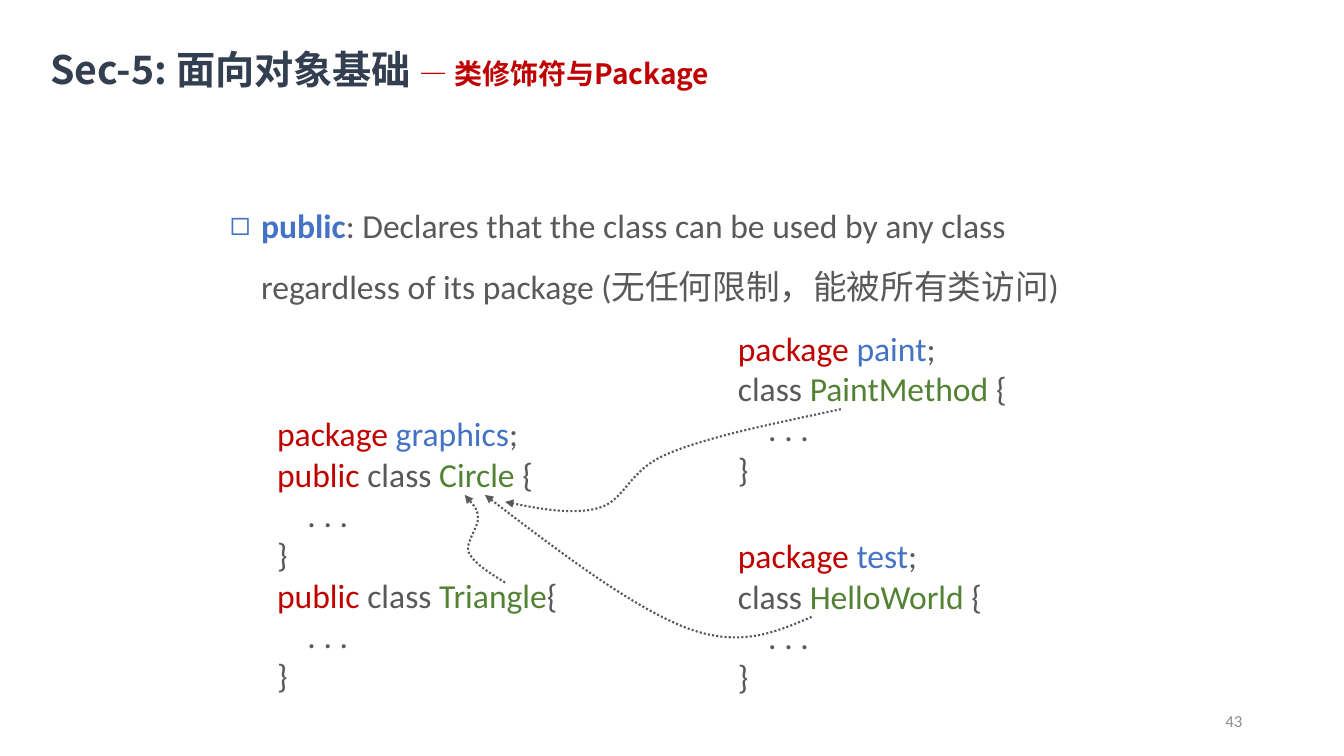
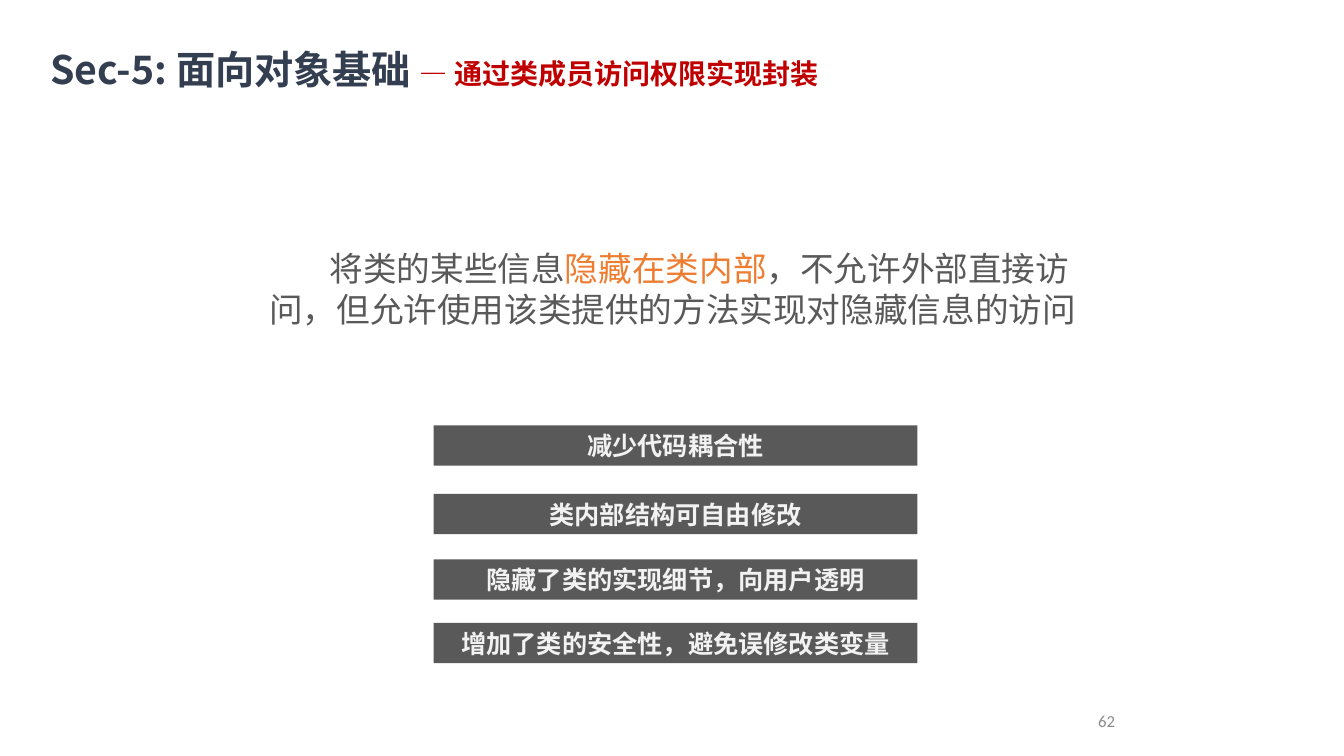
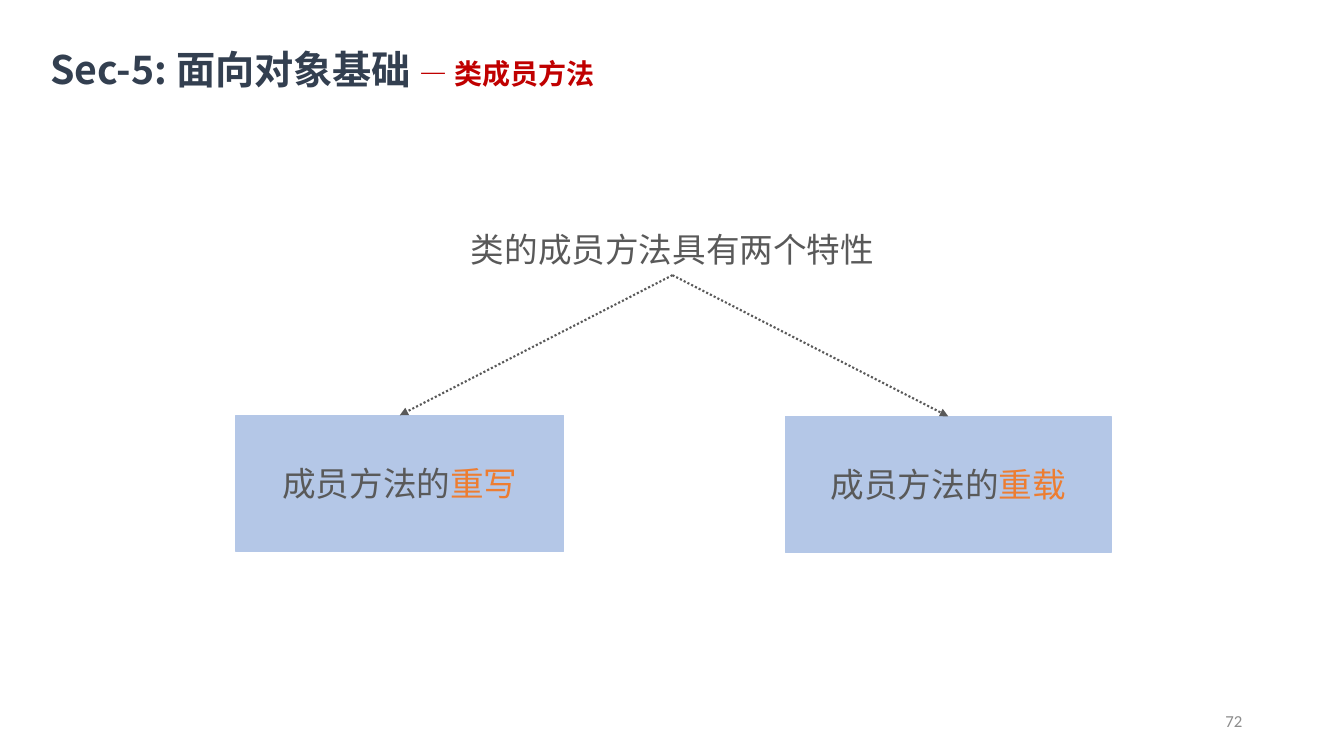
from lxml import etree
from pptx import Presentation, util as u
from pptx.dml.color import RGBColor
from pptx.enum import dml, shapes, text
from pptx.oxml.ns import qn

PX = 9144  # EMU per px, 100 px to the inch
LATIN, HAN = "Calibri", "Noto Sans CJK SC"
COLORS = {
    "navy": "333F50", "red": "C00000", "blue": "4472C4", "green": "548235",
    "gray": "595959", "orange": "ED7D31", "number": "8C8C8C",
    "sky": "B4C7E7", "pale": "F2F2F2",
}

SECTION = "Sec-5: 面向对象基础 "
NUMBER_RIGHT = (942, 695, 300, 40)
NUMBER_INNER = (883, 695, 233, 40)

PUBLIC_RULE = [
    ("public", "blue"),
    (": Declares that the class can be used by any class regardless of its "
     "package (无任何限制，能被所有类访问)", "gray"),
]
ELLIPSIS, CLOSE = [("    . . .", "gray")], [("}", "gray")]
LISTINGS = [  # box, package, [(modifier, class name, opening)]
    ((265, 405, 386, 293), "graphics", [("public ", "Circle", " {"), ("public ", "Triangle", "{")]),
    ((722, 320, 386, 172), "paint", [("", "PaintMethod", " {")]),
    ((722, 526, 386, 172), "test", [("", "HelloWorld", " {")]),
]
USES_OF_CIRCLE = [  # start, then three points for each Bézier segment
    [(501, 578), (485, 568), (470, 559), (465, 548),
     (461, 538), (475, 523), (474, 514), (474, 504), (463, 494), (461, 491)],
    [(805, 612), (770, 627), (734, 643), (681, 623), (627, 602), (554, 547), (481, 491)],
    [(834, 406), (769, 420), (703, 433), (663, 450),
     (623, 466), (621, 496), (594, 504), (567, 512), (506, 499), (501, 498)],
]

ENCAPSULATION = [
    ("将类的某些信息", "gray"), ("隐藏在类内部", "orange"),
    ("，不允许外部直接访问，但允许使用该类提供的方法实现对隐藏信息的访问", "gray"),
]
BENEFITS = [  # top, text
    (422, "减少代码耦合性"), (490, "类内部结构可自由修改"),
    (555, "隐藏了类的实现细节，向用户透明"), (618, "增加了类的安全性，避免误修改类变量"),
]

FEATURES_HEADING = "类的成员方法具有两个特性"
FEATURES = [((234, 412, 325, 135), "重写"), ((779, 413, 323, 135), "重载")]


def rgb(name):
    return RGBColor.from_string(COLORS[name])


def emu(box):
    return [n * PX for n in box]


def write(paragraph, runs, size, font=LATIN, bold=False, align=None):
    """Fill a paragraph with (text, colour) runs; Han text gets a fixed, tighter pitch."""
    paragraph.alignment = align
    if font == HAN:
        paragraph.line_spacing = u.Pt(round(size * 1.2))
    for words, color in runs:
        run = paragraph.add_run()
        run.text = words
        run.font.size, run.font.bold, run.font.name = u.Pt(size), bold, font
        run.font.color.rgb = rgb(color)
        etree.SubElement(run.font._element, qn("a:ea"), typeface=HAN)


def add_text(slide, box, anchor=text.MSO_ANCHOR.TOP):
    area = slide.shapes.add_textbox(*emu(box))
    area.text_frame.word_wrap = True
    area.text_frame.vertical_anchor = anchor
    return area


def add_rect(slide, box, color):
    rect = slide.shapes.add_shape(shapes.MSO_SHAPE.RECTANGLE, *emu(box))
    rect.shadow.inherit = False
    rect.fill.solid()
    rect.fill.fore_color.rgb = rgb(color)
    rect.line.fill.background()
    rect.text_frame.vertical_anchor = text.MSO_ANCHOR.MIDDLE
    return rect


def place(holder, box):
    """Move a placeholder and turn off its inherited fitting and anchoring."""
    holder.left, holder.top, holder.width, holder.height = emu(box)
    frame = holder.text_frame
    frame.auto_size = text.MSO_AUTO_SIZE.NONE
    frame.word_wrap = True
    frame.vertical_anchor = text.MSO_ANCHOR.TOP
    return frame


def body_paragraph(slide, box, margin, indent, bullet=None):
    paragraph = place(slide.placeholders[1], box).paragraphs[0]
    paragraph.space_before = u.Pt(0)
    props = paragraph._p.get_or_add_pPr()
    props.set("marL", str(margin * PX))
    props.set("indent", str(indent * PX))
    if bullet:
        etree.SubElement(props, qn("a:buChar"), char=bullet)
    else:
        etree.SubElement(props, qn("a:buNone"))
    return paragraph


def style_arrow(arrow):
    arrow.line.color.rgb = rgb("gray")
    arrow.line.width = u.Pt(1.5)
    arrow.line.dash_style = dml.MSO_LINE.ROUND_DOT
    props = arrow._element.spPr
    etree.SubElement(props.find(qn("a:ln")), qn("a:tailEnd"), type="triangle")
    etree.SubElement(props, qn("a:effectLst"))


def add_curve(slide, points):
    """Draw a freeform through the points, then group them into cubic segments."""
    builder = slide.shapes.build_freeform(*points[0], scale=PX)
    builder.add_line_segments(points[1:], close=False)
    curve = builder.convert_to_shape()
    curve.fill.background()
    outline = curve._element.find(".//" + qn("a:path"))
    steps = outline.findall(qn("a:lnTo"))
    for first in range(0, len(steps), 3):
        cubic = etree.SubElement(outline, qn("a:cubicBezTo"))
        for step in steps[first:first + 3]:
            cubic.append(step[0])
            outline.remove(step)
    style_arrow(curve)


def start_slide(deck, layout, topic, number, number_box):
    slide = deck.slides.add_slide(deck.slide_layouts[layout])
    frame = place(slide.shapes.title, (50, 42, 940, 48))
    frame.margin_left = frame.margin_right = frame.margin_bottom = 0
    frame.margin_top = 2 * PX
    heading = frame.paragraphs[0]
    write(heading, [(SECTION, "navy"), ("— " + topic, "red")], 28, HAN, True, text.PP_ALIGN.LEFT)
    heading.runs[1].font.size = u.Pt(20)
    page = add_text(slide, number_box, text.MSO_ANCHOR.MIDDLE)
    write(page.text_frame.paragraphs[0], [(str(number), "number")], 12, align=text.PP_ALIGN.RIGHT)
    return slide


def code_lines(package, classes):
    lines = [[("package ", "red"), (package, "blue"), (";", "gray")]]
    for modifier, name, opening in classes:
        declaration = [(modifier, "red"), ("class ", "gray"), (name, "green"), (opening, "gray")]
        lines += [[run for run in declaration if run[0]], ELLIPSIS, CLOSE]
    return lines


def build_modifiers(deck):
    slide = start_slide(deck, 1, "类修饰符与Package", 43, NUMBER_RIGHT)
    rule = body_paragraph(slide, (218, 177, 890, 125), 31, -31, "◻")
    write(rule, PUBLIC_RULE, 24)
    rule.line_spacing = u.Pt(44)
    rule.runs[0].font.bold = True
    for box, package, classes in LISTINGS:
        frame = add_text(slide, box).text_frame
        for i, line in enumerate(code_lines(package, classes)):
            write(frame.add_paragraph() if i else frame.paragraphs[0], line, 24)
    for points in USES_OF_CIRCLE:
        add_curve(slide, points)


def build_encapsulation(deck):
    slide = start_slide(deck, 1, "通过类成员访问权限实现封装", 62, NUMBER_INNER)
    write(body_paragraph(slide, (257, 241, 843, 91), 0, 60), ENCAPSULATION, 24, HAN)
    for top, benefit in BENEFITS:
        bar = add_rect(slide, (430, top, 480, 40), "gray")
        write(bar.text_frame.paragraphs[0], [(benefit, "pale")], 18, HAN, True,
              text.PP_ALIGN.CENTER)


def build_methods(deck):
    slide = start_slide(deck, 5, "类成员方法", 72, NUMBER_RIGHT)
    heading = add_text(slide, (234, 222, 866, 51))
    write(heading.text_frame.paragraphs[0], [(FEATURES_HEADING, "gray")], 24, HAN,
          align=text.PP_ALIGN.CENTER)
    for box, feature in FEATURES:
        card = add_rect(slide, box, "sky")
        card.line.color.rgb = rgb("sky")
        card.line.width = u.Pt(1)
        write(card.text_frame.paragraphs[0], [("成员方法的", "gray"), (feature, "orange")],
              24, HAN, align=text.PP_ALIGN.CENTER)
        arrow = slide.shapes.add_connector(shapes.MSO_CONNECTOR.STRAIGHT, 0, 0, 0, 0)
        arrow.begin_connect(heading, 2)
        arrow.end_connect(card, 0)
        style_arrow(arrow)


def main():
    deck = Presentation()
    deck.slide_width, deck.slide_height = emu((1333, 750))
    build_modifiers(deck)
    build_encapsulation(deck)
    build_methods(deck)
    deck.save("out.pptx")


if __name__ == "__main__":
    main()
